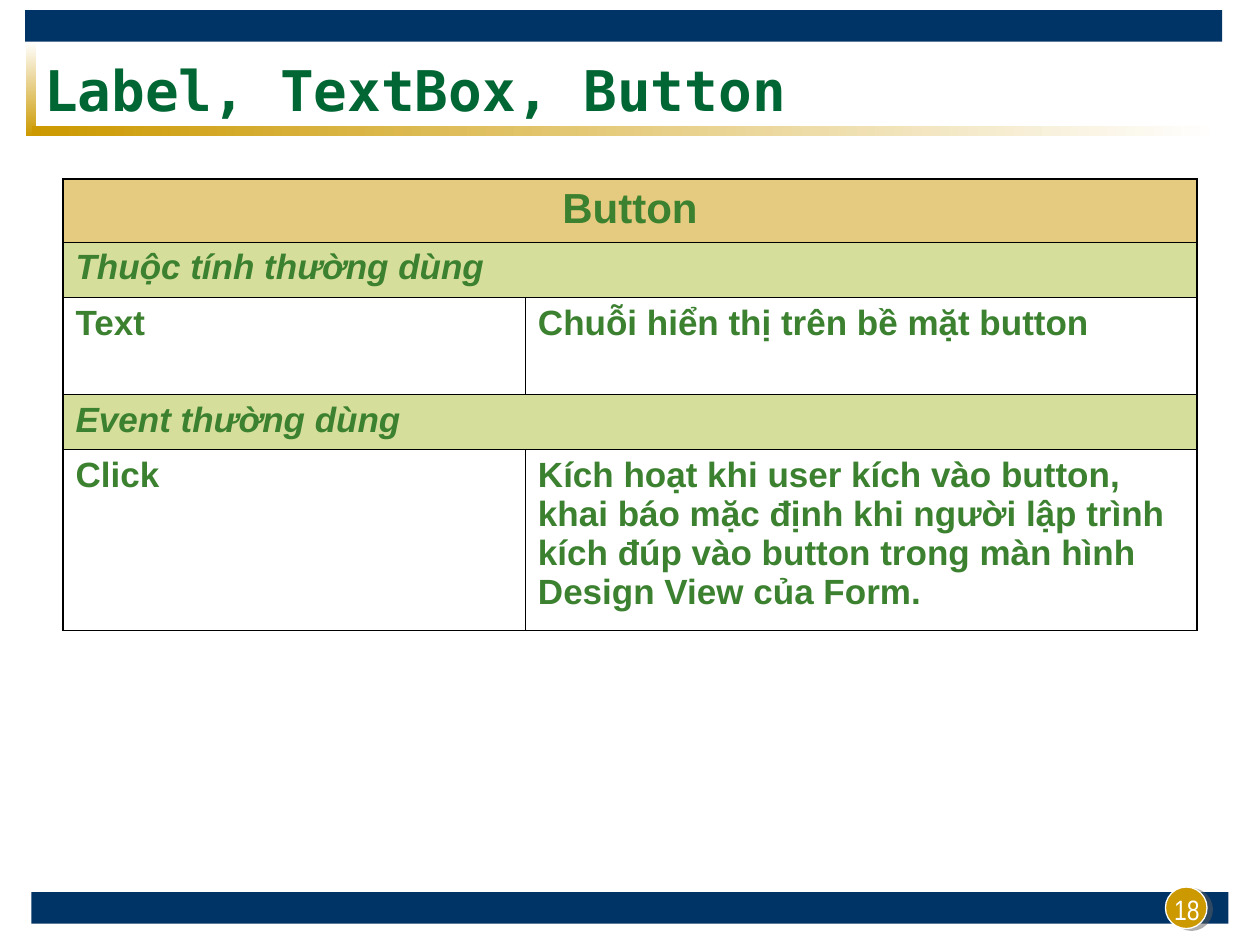
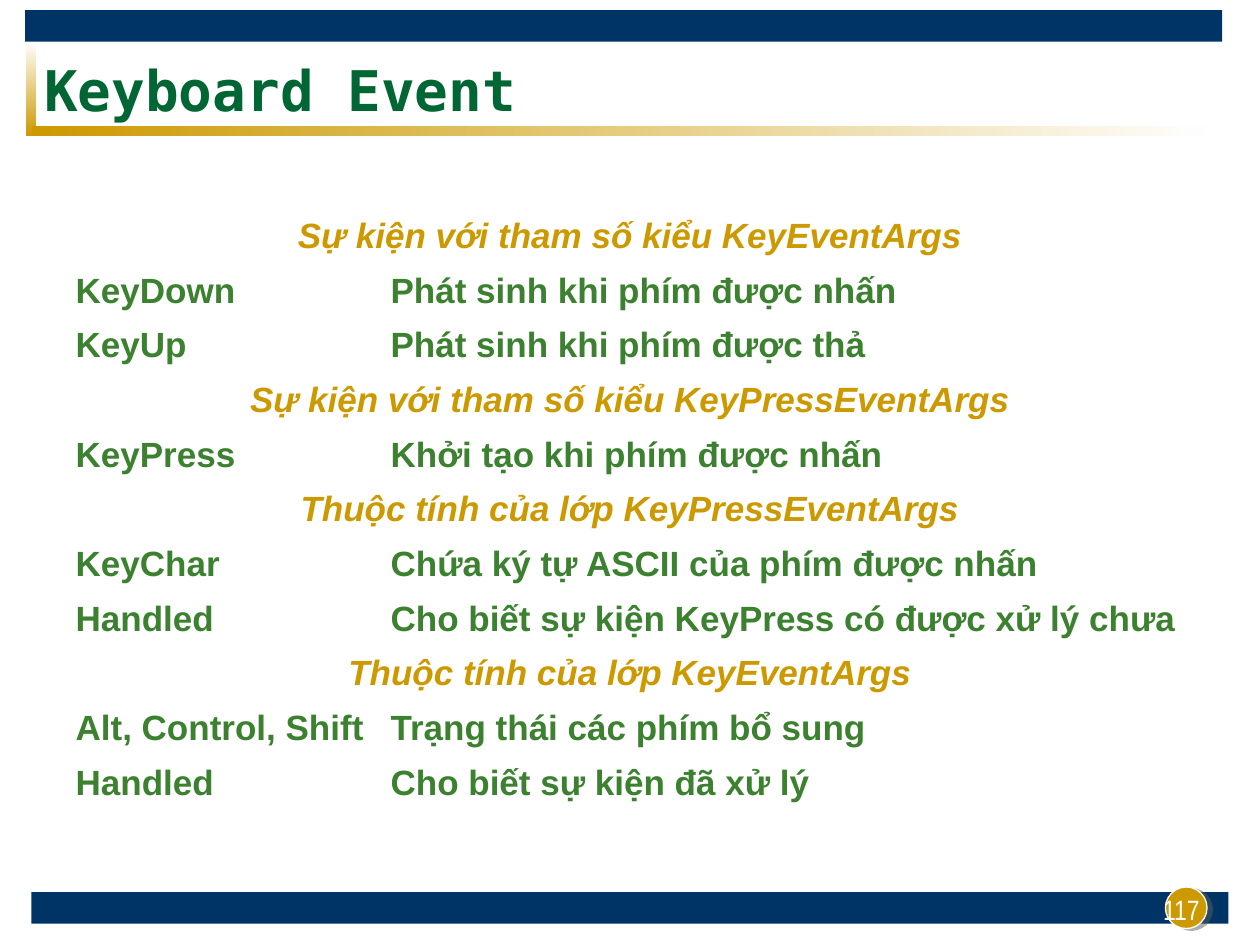
from lxml.etree import SubElement
from pptx import Presentation
from pptx.dml.color import RGBColor
from pptx.enum.shapes import MSO_SHAPE as Shape
from pptx.enum.text import MSO_ANCHOR as Anchor, MSO_AUTO_SIZE as AutoSize, PP_ALIGN as Align
from pptx.oxml import parse_xml
from pptx.oxml.ns import nsdecls, qn
from pptx.util import Inches, Pt

NAVY, GOLD, WHITE, BLACK = "003366", "CC9900", "FFFFFF", "000000"
TITLE_GREEN, TEXT_GREEN, LIME = "006633", "3B812F", "AFBF39"
PLAIN_TABLE = "{2D5ABB26-0587-4C30-8999-92F81FD0307C}"  # no style, no grid
OUTER, INNER = Pt(1.08), Pt(0.45)

# size, italic, alignment, text colour, half-transparent fill
ROW_STYLES = {
    "name": (24, False, Align.CENTER, TEXT_GREEN, GOLD),
    "section": (20, True, Align.LEFT, TEXT_GREEN, LIME),
    "group": (20, True, Align.CENTER, GOLD, None),
    "item": (20, False, Align.LEFT, TEXT_GREEN, None),
}

PAGES = [
    {
        "title": "Label, TextBox, Button", "number": "18", "top": 1.42,
        "widths": [3.67, 5.33], "heights": [0.5, 0.44, 0.77, 0.44, 1.43],
        "bordered": True,
        "rows": [
            ("name", "Button"),
            ("section", "Thuộc tính thường dùng"),
            ("item", "Text", "Chuỗi hiển thị trên bề mặt button"),
            ("section", "Event thường dùng"),
            ("item", "Click", "Kích hoạt khi user kích vào button, khai báo mặc định khi "
             "người lập trình kích đúp vào button trong màn hình Design View của Form."),
        ],
    },
    {
        "title": "Keyboard Event", "number": "117", "top": 1.67,
        "widths": [2.5, 6.5], "heights": [5.2 / 12] * 12,
        "bordered": False,
        "rows": [
            ("group", "Sự kiện với tham số kiểu KeyEventArgs"),
            ("item", "KeyDown", "Phát sinh khi phím được nhấn"),
            ("item", "KeyUp", "Phát sinh khi phím được thả"),
            ("group", "Sự kiện với tham số kiểu KeyPressEventArgs"),
            ("item", "KeyPress", "Khởi tạo khi phím được nhấn"),
            ("group", "Thuộc tính của lớp KeyPressEventArgs"),
            ("item", "KeyChar", "Chứa ký tự ASCII của phím được nhấn"),
            ("item", "Handled", "Cho biết sự kiện KeyPress có được xử lý chưa"),
            ("group", "Thuộc tính của lớp KeyEventArgs"),
            ("item", "Alt, Control, Shift", "Trạng thái các phím bổ sung"),
            ("item", "Handled", "Cho biết sự kiện đã xử lý"),
            ("item", "", ""),
        ],
    },
]


def rgb(value):
    return RGBColor.from_string(value)


def style_text(paragraph, font_name, size, color, bold=False, italic=False, align=Align.LEFT):
    paragraph.alignment = align
    for run in paragraph.runs:
        font = run.font
        font.name, font.size, font.bold, font.italic = font_name, Pt(size), bold, italic
        font.color.rgb = rgb(color)


prs = Presentation()
prs.slide_width, prs.slide_height = Inches(10), Inches(7.5)
layout = prs.slide_layouts[5]
slides = [prs.slides.add_slide(layout) for page in PAGES]

# Shared bands, title rules and number badge, moved into the layout
decor = [
    (Shape.RECTANGLE, 0.25, 7.08, 9.5, 0.25, [NAVY], 0),
    (Shape.RECTANGLE, 0.2, 0.08, 9.5, 0.25, [NAVY], 0),
    (Shape.RECTANGLE, 0.21, 0.33, 0.08, 0.75, [WHITE, GOLD], 270),
    (Shape.RECTANGLE, 0.25, 1, 9.42, 0.08, [GOLD, WHITE], 0),
    (Shape.OVAL, 9.25, 7.04, 0.33, 0.33, [GOLD], 0),
]
for kind, left, top, width, height, colors, angle in decor:
    part = slides[0].shapes.add_shape(kind, Inches(left), Inches(top), Inches(width), Inches(height))
    part.shadow.inherit = False
    if len(colors) == 1:
        part.fill.solid()
        part.fill.fore_color.rgb = rgb(colors[0])
    else:
        part.fill.gradient()
        part.fill.gradient_angle = angle
        for position, (stop, color) in enumerate(zip(part.fill.gradient_stops, colors)):
            stop.position = position
            stop.color.rgb = rgb(color)
    if kind == Shape.OVAL:
        part.line.color.rgb = rgb(WHITE)
        part.line.width = Pt(0.75)
        effects = part.element.spPr.find(qn("a:effectLst"))
        effects.append(parse_xml(
            f'<a:outerShdw {nsdecls("a")} blurRad="0" dist="{Pt(3.2)}" dir="{18 * 60000}" '
            'algn="ctr" rotWithShape="0"><a:srgbClr val="5F5F5F"><a:alpha val="50000"/>'
            '</a:srgbClr></a:outerShdw>'))
    else:
        part.line.fill.background()
    layout.shapes.element.append(part.element)

for slide, page in zip(slides, PAGES):
    number = slide.shapes.add_textbox(Inches(7.29), Inches(6.9), Inches(2.33), Inches(0.5)).text_frame
    number.word_wrap = True
    number.vertical_anchor = Anchor.BOTTOM
    number.text = page["number"]
    style_text(number.paragraphs[0], "Arial Narrow", 16, WHITE, align=Align.RIGHT)

    title = slide.shapes.title
    title.left, title.top, title.width, title.height = Inches(0.25), Inches(0.42), Inches(9), Inches(0.58)
    title.text_frame.text = page["title"]
    title.text_frame.auto_size = AutoSize.NONE
    title.text_frame.vertical_anchor = Anchor.MIDDLE
    style_text(title.text_frame.paragraphs[0], "DejaVu Sans Mono", 32, TITLE_GREEN, bold=True)

    rows = page["rows"]
    last_row = len(rows) - 1
    table = slide.shapes.add_table(
        len(rows), 2, Inches(0.5), Inches(page["top"]),
        Inches(9), Inches(sum(page["heights"]))).table
    table.first_row = table.horz_banding = False
    table._tbl.tblPr.find(qn("a:tableStyleId")).text = PLAIN_TABLE
    for column, width in zip(table.columns, page["widths"]):
        column.width = Inches(width)

    for r, (style, *texts) in enumerate(rows):
        size, italic, align, color, fill = ROW_STYLES[style]
        table.rows[r].height = Inches(page["heights"][r])
        heading = len(texts) == 1
        if heading:
            table.cell(r, 0).merge(table.cell(r, 1))
        for c in range(2):
            cell = table.cell(r, c)
            cell.margin_left = cell.margin_right = Inches(0.1)
            cell.margin_top = cell.margin_bottom = Inches(0.05)
            if c < len(texts):
                cell.text_frame.text = texts[c]
                style_text(cell.text_frame.paragraphs[0], "Arial", size, color, True, italic, align)
            props = cell._tc.get_or_add_tcPr()
            if fill:
                cell.fill.solid()
                cell.fill.fore_color.rgb = rgb(fill)
                SubElement(props.find(".//" + qn("a:srgbClr")), qn("a:alpha"), val="50000")
            else:
                cell.fill.background()
            if not page["bordered"]:
                continue
            borders = {
                "lnL": OUTER if c == 0 else INNER,
                "lnR": OUTER if c == 1 or heading else INNER,
                "lnT": OUTER if r == 0 else INNER,
                "lnB": OUTER if r == last_row else INNER,
            }
            if cell.is_spanned:
                del borders["lnL"]
            for order, (side, width) in enumerate(borders.items()):
                props.insert(order, parse_xml(
                    f'<a:{side} {nsdecls("a")} w="{width}"><a:solidFill>'
                    f'<a:srgbClr val="{BLACK}"/></a:solidFill></a:{side}>'))

prs.save("out.pptx")
